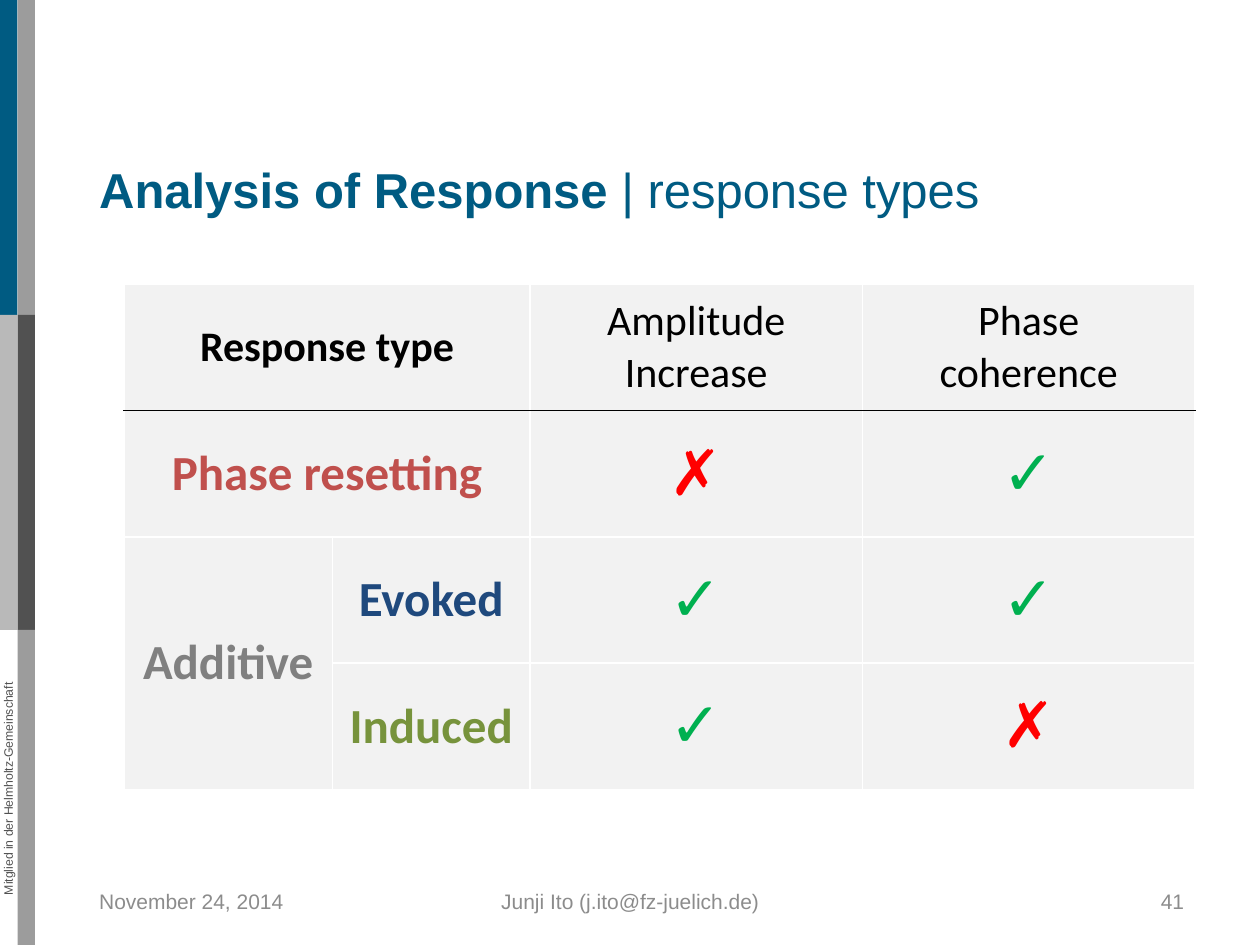
from dataclasses import dataclass
from itertools import product

from lxml.etree import SubElement
from pptx import Presentation
from pptx.dml.color import RGBColor
from pptx.enum.shapes import MSO_SHAPE
from pptx.enum.text import MSO_ANCHOR, MSO_AUTO_SIZE, PP_ALIGN
from pptx.oxml.ns import qn
from pptx.util import Pt


@dataclass(frozen=True)
class Theme:
    head: str = "Arial"
    body: str = "Calibri"
    blue: str = "005B82"
    light: str = "B9B9B9"
    mid: str = "9C9C9C"
    dark: str = "515151"
    foot: str = "8C8C8C"
    cell: str = "F2F2F2"
    white: str = "FFFFFF"
    black: str = "000000"
    red: str = "C0504D"
    navy: str = "1F497D"
    green: str = "77933C"
    gray: str = "808080"
    no: str = "FF0000"
    yes: str = "00B050"
    tiny: int = 7
    small: int = 12
    label: int = 24
    large: int = 28
    mark: int = 36


T = Theme()


def write(frame, text, size, color, font=T.head, bold=False,
          align=PP_ALIGN.LEFT):
    par = frame.paragraphs[0]
    par.alignment = align
    for i, line in enumerate(text.split("\n")):
        if i:
            par.add_line_break()
        run = par.add_run()
        run.text = line
        run.font.name = font
        run.font.size = Pt(size)
        run.font.bold = bold
        run.font.color.rgb = RGBColor.from_string(color)


def inset(frame, left=0, top=0, right=0, bottom=0):
    frame.margin_left, frame.margin_top = Pt(left), Pt(top)
    frame.margin_right, frame.margin_bottom = Pt(right), Pt(bottom)


def put_box(slide, box):
    frame = slide.shapes.add_textbox(*map(Pt, box)).text_frame
    frame.word_wrap = True
    return frame


def draw_side(slide, box):
    left, top, width, height = box
    wide, tall = width / 2, height / 3
    bars = ((T.blue, T.mid), (T.light, T.dark), (None, T.mid))
    for row, col in product(range(3), range(2)):
        color = bars[row][col]
        if color:
            bar = slide.shapes.add_shape(
                MSO_SHAPE.RECTANGLE, Pt(left + col * wide),
                Pt(top + row * tall), Pt(wide), Pt(tall))
            bar.shadow.inherit = False
            bar.fill.solid()
            bar.fill.fore_color.rgb = RGBColor.from_string(color)
            bar.line.fill.background()
    long, thin = 180, 8.6
    note = slide.shapes.add_textbox(
        Pt(left + 4.7 - long / 2), Pt(top + 450.7 - thin / 2),
        Pt(long), Pt(thin))
    note.rotation = 270
    frame = note.text_frame
    frame.word_wrap = True
    frame.auto_size = MSO_AUTO_SIZE.SHAPE_TO_FIT_TEXT
    inset(frame)
    write(frame, "Mitglied in der Helmholtz-Gemeinschaft", T.tiny, T.dark,
          align=PP_ALIGN.CENTER)


def draw_title(slide, box):
    title = slide.shapes.title
    title.left, title.top, title.width, title.height = map(Pt, box)
    frame = title.text_frame
    frame.vertical_anchor = MSO_ANCHOR.TOP
    frame.auto_size = MSO_AUTO_SIZE.NONE
    inset(frame)
    write(frame, "Analysis of Response ", T.large, T.blue, bold=True)
    write(frame, "| response types", T.large, T.blue)


def draw_foot(slide, box):
    left, top, width, height = box
    side, mid = 168, 228
    parts = (
        ("November 24, 2014", 0, side, PP_ALIGN.LEFT),
        ("Junji Ito (j.ito@fz-juelich.de)", 189.5, mid, PP_ALIGN.CENTER),
        ("41", width - side, side, PP_ALIGN.RIGHT),
    )
    for text, shift, wide, align in parts:
        frame = put_box(slide, (left + shift, top, wide, height))
        frame.vertical_anchor = MSO_ANCHOR.MIDDLE
        inset(frame, 0 if align == PP_ALIGN.LEFT else 7.2, 3.6, 7.2, 3.6)
        write(frame, text, T.small, T.foot, align=align)


def edge(cell, side, color):
    line = SubElement(cell._tc.get_or_add_tcPr(), qn("a:ln" + side),
                      w=str(Pt(1)))
    fill = SubElement(line, qn("a:solidFill"))
    SubElement(fill, qn("a:srgbClr"), val=color)


def draw_grid(slide, box):
    left, top, width, height = box
    first, second = 119, 113
    rest = (width - first - second) / 2
    grid = slide.shapes.add_table(4, 4, *map(Pt, box)).table
    for col, wide in zip(grid.columns, (first, second, rest, rest)):
        col.width = Pt(wide)
    for row in grid.rows:
        row.height = Pt(height / 4)
    for r, c in product(range(4), range(4)):
        cell = grid.cell(r, c)
        cell.vertical_anchor = MSO_ANCHOR.MIDDLE
        edge(cell, "L", T.white)
        edge(cell, "R", T.white)
        edge(cell, "T", T.black if r == 1 else T.white)
        edge(cell, "B", T.black if r == 0 else T.white)
        cell.fill.solid()
        cell.fill.fore_color.rgb = RGBColor.from_string(T.cell)
    for start, end in (((0, 0), (0, 1)), ((1, 0), (1, 1)), ((2, 0), (3, 0))):
        grid.cell(*start).merge(grid.cell(*end))
    names = (
        (0, 0, "Response type", T.label, T.black, True),
        (0, 2, "Amplitude\nIncrease", T.label, T.black, False),
        (0, 3, "Phase\ncoherence", T.label, T.black, False),
        (1, 0, "Phase resetting", T.large, T.red, True),
        (2, 0, "Additive", T.large, T.gray, True),
        (2, 1, "Evoked", T.large, T.navy, True),
        (3, 1, "Induced", T.large, T.green, True),
    )
    tones = {"✗": T.no, "✓": T.yes}
    marks = tuple(
        (r, c, sign, T.mark, tones[sign], False)
        for r, pair in enumerate(("✗✓", "✓✓", "✓✗"), 1)
        for c, sign in enumerate(pair, 2))
    for r, c, text, size, color, bold in names + marks:
        write(grid.cell(r, c).text_frame, text, size, color, font=T.body,
              bold=bold, align=PP_ALIGN.CENTER)


def main():
    deck = Presentation()
    deck.slide_width, deck.slide_height = Pt(720), Pt(540)
    slide = deck.slides.add_slide(deck.slide_layouts[5])
    draw_side(slide, (0, 0, 20, 540))
    draw_foot(slide, (56.7, 500.5, 627, 28.8))
    draw_title(slide, (56.7, 91, 627, 45))
    draw_grid(slide, (70.9, 162.3, 612, 289))
    deck.save("out.pptx")


if __name__ == "__main__":
    main()
